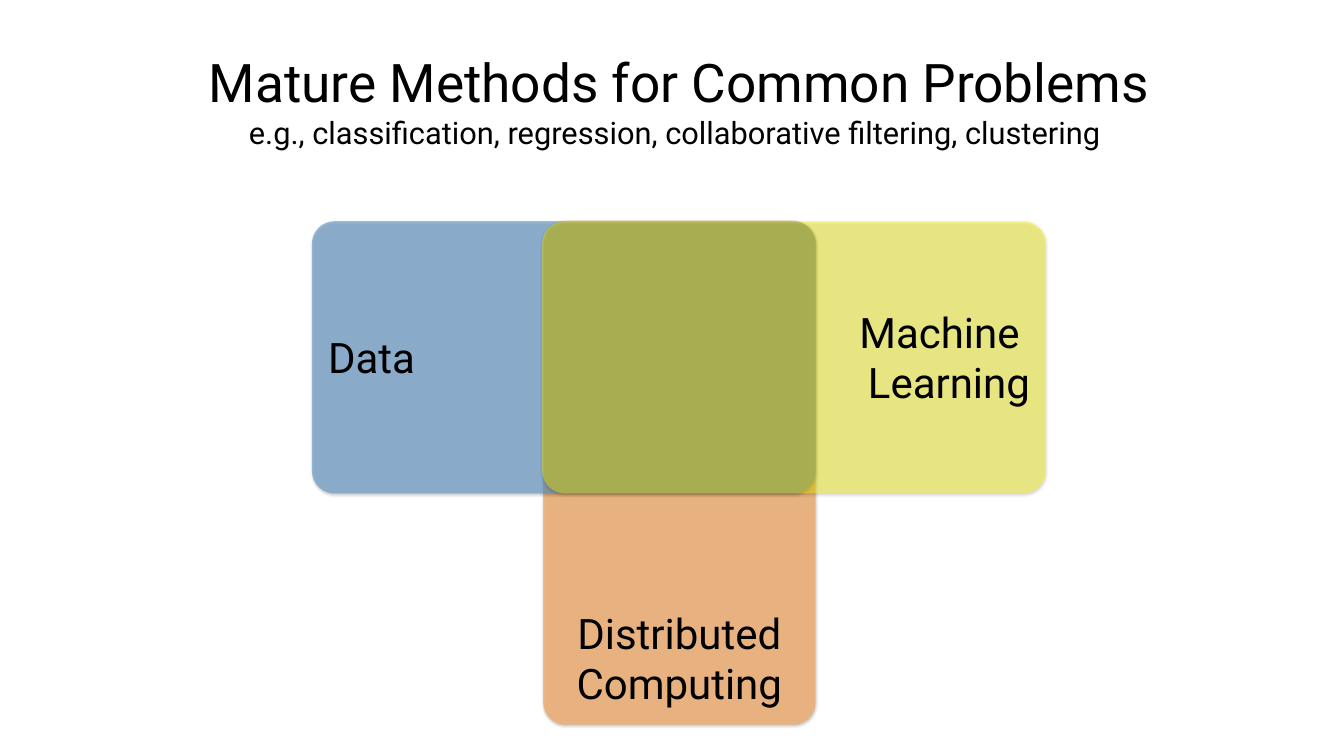
from dataclasses import dataclass

from lxml import etree
from pptx import Presentation
from pptx.dml.color import RGBColor
from pptx.enum.shapes import MSO_SHAPE
from pptx.enum.text import MSO_ANCHOR, MSO_AUTO_SIZE, PP_ALIGN
from pptx.oxml.ns import qn
from pptx.util import Inches, Pt

ROUND = MSO_SHAPE.ROUNDED_RECTANGLE
TOP, MIDDLE, BOTTOM = MSO_ANCHOR.TOP, MSO_ANCHOR.MIDDLE, MSO_ANCHOR.BOTTOM
LEFT, CENTER, RIGHT = PP_ALIGN.LEFT, PP_ALIGN.CENTER, PP_ALIGN.RIGHT
FIXED, GROW = MSO_AUTO_SIZE.NONE, MSO_AUTO_SIZE.SHAPE_TO_FIT_TEXT

BLACK = RGBColor(0x00, 0x00, 0x00)
ORANGE = RGBColor(0xFA, 0xA7, 0x57)
BLUE = RGBColor(0x60, 0x95, 0xC9)
YELLOW = RGBColor(0xFF, 0xFB, 0x00)
FONT = "Roboto"
LONG, SHORT = 10, 5.4
PAD = 0.26


@dataclass
class Field:
    lines: list[str]
    left: float
    top: float
    width: float
    height: float
    color: RGBColor
    alpha: int
    shade: int
    text_top: float
    text_height: float
    align: PP_ALIGN
    anchor: MSO_ANCHOR


FIELDS = [
    Field(["Distributed Computing"], 10.78, 4.38, SHORT, LONG, ORANGE, 64, 35,
          11.99, 2.12, CENTER, BOTTOM),
    Field(["Data"], 6.19, 4.39, LONG, SHORT, BLUE, 60, 35,
          6.53, 1.11, LEFT, MIDDLE),
    Field(["Machine ", "Learning"], 10.76, 4.39, LONG, SHORT, YELLOW, 40, 38,
          6.02, 2.12, RIGHT, MIDDLE),
]


def place(shape, left: float, top: float, width: float, height: float) -> None:
    shape.left, shape.top = Inches(left), Inches(top)
    shape.width, shape.height = Inches(width), Inches(height)


def set_frame(frame, anchor: MSO_ANCHOR, inset: float, fit: MSO_AUTO_SIZE) -> None:
    frame.word_wrap = True
    frame.auto_size = fit
    frame.vertical_anchor = anchor
    frame.margin_left = frame.margin_right = Inches(inset)
    frame.margin_top = frame.margin_bottom = Inches(inset)


def write(para, text: str, *, size: int = 60, align: PP_ALIGN = LEFT) -> None:
    para.alignment = align
    run = para.add_run()
    run.text = text
    run.font.size = Pt(size)
    run.font.name = FONT
    run.font.color.rgb = BLACK


def set_alpha(color, percent: int) -> None:
    etree.SubElement(color, qn("a:alpha")).set("val", str(percent * 1000))


def add_shadow(shape, percent: int) -> None:
    shape.shadow.inherit = False
    effects = shape._element.spPr.find(qn("a:effectLst"))
    outer = etree.SubElement(effects, qn("a:outerShdw"), blurRad=str(Pt(4)),
                             dist=str(Pt(2)), dir="5400000", rotWithShape="0")
    set_alpha(etree.SubElement(outer, qn("a:srgbClr"), val=str(BLACK)), percent)


def draw_field(slide, field: Field) -> None:
    group = slide.shapes.add_group_shape()
    card = group.shapes.add_shape(ROUND, 0, 0, 0, 0)
    place(card, field.left, field.top, field.width, field.height)
    card.adjustments[0] = 0.083
    card.fill.solid()
    card.fill.fore_color.rgb = field.color
    set_alpha(card._element.spPr.find(qn("a:solidFill"))[0], field.alpha)
    card.line.fill.background()
    add_shadow(card, field.shade)

    label = group.shapes.add_textbox(0, 0, 0, 0)
    place(label, field.left + PAD, field.text_top,
          field.width - 2 * PAD, field.text_height)
    frame = label.text_frame
    set_frame(frame, field.anchor, 0.06, GROW)
    for i, line in enumerate(field.lines):
        para = frame.add_paragraph() if i else frame.paragraphs[0]
        write(para, line, align=field.align)


def draw_title(slide) -> None:
    title = slide.shapes.title
    place(title, 4.06, 0.9, 18.83, 2.83)
    set_frame(title.text_frame, TOP, 0.08, FIXED)
    para = title.text_frame.paragraphs[0]
    write(para, "Mature Methods for Common Problems", size=76, align=CENTER)
    para.add_line_break()
    write(para, "e.g., classification, regression, collaborative filtering, clustering ",
          size=44, align=CENTER)


def main() -> None:
    deck = Presentation()
    deck.slide_width, deck.slide_height = Inches(26.67), Inches(15)
    slide = deck.slides.add_slide(deck.slide_layouts[5])
    draw_title(slide)
    for field in FIELDS:
        draw_field(slide, field)
    deck.save("out.pptx")


if __name__ == "__main__":
    main()
